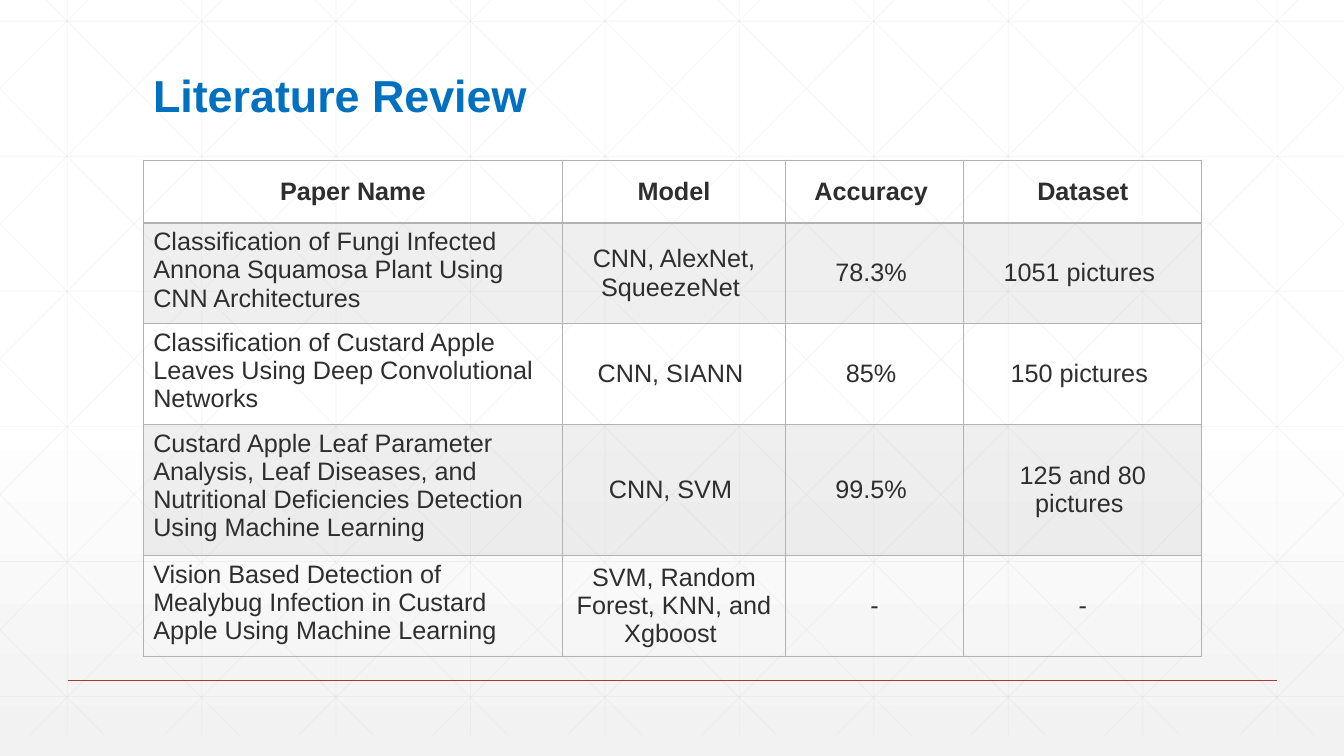
"""Build the literature review slide: faint line grid, title and table of papers."""
import pptx
import pptx.dml.color
import pptx.enum.shapes
import pptx.enum.text
import pptx.oxml
import pptx.oxml.ns
import pptx.util
from pptx.util import Inches

TITLE = "Literature Review"
HEADER = ("Paper Name", "Model", "Accuracy ", "Dataset")
PAPERS = [
    ("Classification of Fungi Infected Annona Squamosa Plant Using CNN Architectures",
     "CNN, AlexNet, SqueezeNet ", "78.3% ", "1051 pictures "),
    ("Classification of Custard Apple Leaves Using Deep Convolutional Networks",
     "CNN, SIANN ", "85% ", "150 pictures "),
    ("Custard Apple Leaf Parameter Analysis, Leaf Diseases, and Nutritional "
     "Deficiencies Detection Using Machine Learning",
     "CNN, SVM ", "99.5% ", "125 and 80 pictures "),
    ("Vision Based Detection of Mealybug Infection in Custard Apple Using Machine Learning",
     "SVM, Random Forest, KNN, and Xgboost ", "-", "-"),
]
COLUMN_WIDTHS = (4.16, 2.21, 1.77, 2.36)
ROW_HEIGHTS = (0.62, 0.94, 0.94, 1.22, 0.94)
THEME = {
    "font": "Arial", "title_size": 32, "table_size": 18,
    "title": "0070C0", "text": "2D2E2D", "border": "B2B2B2", "band_alpha": 20,
    "grid": "D9D9D9", "grid_alpha": 25, "rule": "A43F27",
    "background": ("FFFFFF", "F2F2F2"),
}
WIDTH, HEIGHT = 13.33, 7.5
LEFT, CONTENT_WIDTH = 1.42, 10.5
GRID_STEP, GRID_TOP, GRID_BOTTOM = 4 / 3, -0.21, 7.29
DIAGONAL_START, DIAGONAL_RUN = 0.25, 7.45

ALIGN = pptx.enum.text.PP_ALIGN
MIDDLE = pptx.enum.text.MSO_ANCHOR.MIDDLE
TOP = pptx.enum.text.MSO_ANCHOR.TOP


def color(name):
    return pptx.dml.color.RGBColor.from_string(name)


def set_alpha(element, percent):
    for value in element.iter(pptx.oxml.ns.qn("a:srgbClr")):
        value.append(pptx.oxml.parse_xml(
            f'<a:alpha {pptx.oxml.ns.nsdecls("a")} val="{percent * 1000}"/>'))


def add_line(slide, start, end, line_color, width, alpha=100):
    line = slide.shapes.add_connector(
        pptx.enum.shapes.MSO_CONNECTOR.STRAIGHT, *map(Inches, (*start, *end)))
    line.line.color.rgb = color(line_color)
    line.line.width = pptx.util.Pt(width)
    properties = line._element.spPr
    if alpha < 100:
        set_alpha(properties, alpha)
    properties.append(pptx.oxml.parse_xml(f'<a:effectLst {pptx.oxml.ns.nsdecls("a")}/>'))


def write(frame, text, size, text_color, bold=False, align=ALIGN.LEFT, spacing=1.0):
    paragraph = frame.paragraphs[0]
    paragraph.alignment = align
    paragraph.line_spacing = spacing
    run = paragraph.add_run()
    run.text = text
    run.font.name = THEME["font"]
    run.font.size = pptx.util.Pt(size)
    run.font.bold = bold
    run.font.color.rgb = color(text_color)


def grid_lines():
    lines = []
    for index in range(10):
        x = GRID_STEP * (index + 0.5)
        lines.append(((x, 0), (x, GRID_BOTTOM)))
    for index in range(6):
        y = 0.21 + 1.34 * index
        lines.append(((0, y), (WIDTH, y)))
    slope = (GRID_BOTTOM - GRID_TOP) / DIAGONAL_RUN
    for index in range(-5, 10):
        origin = DIAGONAL_START + GRID_STEP * index
        first = max(0, origin - GRID_TOP / slope)
        last = min(WIDTH, origin + DIAGONAL_RUN)
        y_first, y_last = (GRID_TOP + (x - origin) * slope for x in (first, last))
        lines.append(((first, y_first), (last, y_last)))
        lines.append(((WIDTH - first, y_first), (WIDTH - last, y_last)))
    return lines


def set_borders(cell, widths):
    properties = cell._tc.get_or_add_tcPr()
    for position, (side, width) in enumerate(widths.items()):
        properties.insert(position, pptx.oxml.parse_xml(
            f'<a:ln{side} {pptx.oxml.ns.nsdecls("a")} w="{pptx.util.Pt(width)}">'
            f'<a:solidFill><a:srgbClr val="{THEME["border"]}"/></a:solidFill></a:ln{side}>'))


def add_table(slide):
    rows = [HEADER, *PAPERS]
    table = slide.shapes.add_table(
        len(rows), len(HEADER), Inches(LEFT), Inches(1.59),
        Inches(CONTENT_WIDTH), Inches(sum(ROW_HEIGHTS))).table
    table.first_row = table.horz_banding = False
    for column, width in zip(table.columns, COLUMN_WIDTHS):
        column.width = Inches(width)
    for row, height in zip(table.rows, ROW_HEIGHTS):
        row.height = Inches(height)
    for row_index, row in enumerate(rows):
        is_header = row_index == 0
        for column_index, text in enumerate(row):
            cell = table.cell(row_index, column_index)
            is_paper = column_index == 0 and not is_header
            cell.vertical_anchor = TOP if is_paper else MIDDLE
            write(cell.text_frame, text, THEME["table_size"], THEME["text"],
                  bold=is_header, align=ALIGN.LEFT if is_paper else ALIGN.CENTER)
            if row_index % 2:
                cell.fill.solid()
                cell.fill.fore_color.rgb = color(THEME["border"])
                set_alpha(cell._tc.tcPr, THEME["band_alpha"])
            else:
                cell.fill.background()
            set_borders(cell, {"L": 1, "R": 1, "T": 2 if row_index == 1 else 1,
                               "B": 2 if is_header else 1})


def main():
    presentation = pptx.Presentation()
    presentation.slide_width = Inches(WIDTH)
    presentation.slide_height = Inches(HEIGHT)
    slide = presentation.slides.add_slide(presentation.slide_layouts[6])

    fill = slide.background.fill
    fill.gradient()
    fill.gradient_angle = 270
    for stop, position, name in zip(fill.gradient_stops, (0.53, 1), THEME["background"]):
        stop.position = position
        stop.color.rgb = color(name)

    for start, end in grid_lines():
        add_line(slide, start, end, THEME["grid"], 0.5, THEME["grid_alpha"])
    add_line(slide, (0.67, 6.75), (12.67, 6.75), THEME["rule"], 1)

    title = slide.shapes.add_textbox(
        Inches(LEFT), Inches(0.55), Inches(CONTENT_WIDTH), Inches(0.84))
    title.text_frame.word_wrap = True
    title.text_frame.vertical_anchor = MIDDLE
    write(title.text_frame, TITLE, THEME["title_size"], THEME["title"],
          bold=True, spacing=0.9)

    add_table(slide)
    presentation.save("out.pptx")


if __name__ == "__main__":
    main()
